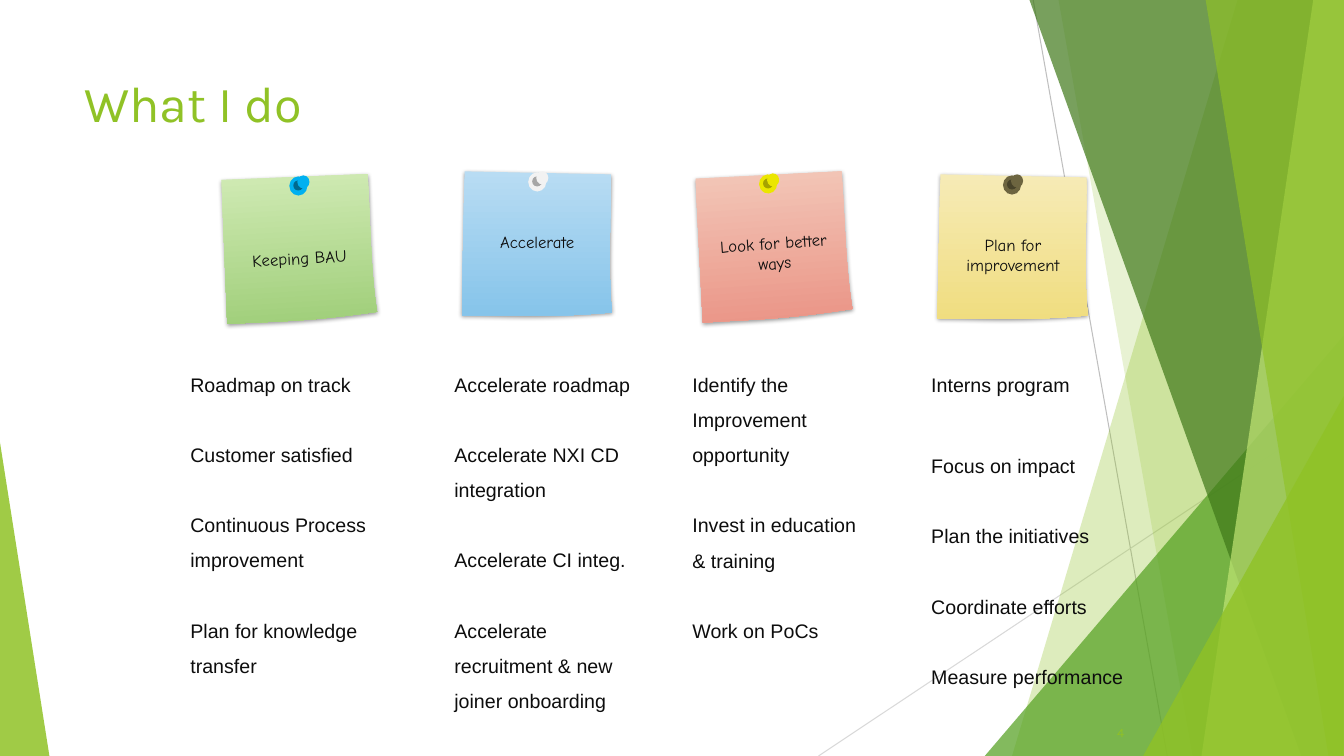
from lxml import etree
from pptx import Presentation
from pptx.dml.color import RGBColor
from pptx.enum.shapes import MSO_CONNECTOR, MSO_SHAPE
from pptx.enum.text import PP_ALIGN
from pptx.oxml.ns import qn
from pptx.util import Emu, Pt

STRAIGHT = MSO_CONNECTOR.STRAIGHT
TRIANGLE, ELLIPSE = MSO_SHAPE.ISOSCELES_TRIANGLE, MSO_SHAPE.OVAL
LEFT, CENTER, RIGHT = PP_ALIGN.LEFT, PP_ALIGN.CENTER, PP_ALIGN.RIGHT

SLIDE_WIDTH, SLIDE_HEIGHT = Emu(12192000), Emu(6858000)
COLUMNS, ROWS = 1333.33, 750
COLORS = {
    "lime": "90C226", "leaf": "54A021", "forest": "3F7819", "pale": "C0E474",
    "ray": "BFBFBF", "faint_ray": "D9D9D9", "ink": "0D0D0D", "shadow": "000000",
    "green_top": "D1EBB5", "green_base": "9FCE79",
    "blue_top": "B8DCF3", "blue_base": "86C4EA",
    "red_top": "F3C8B9", "red_base": "EA9486",
    "yellow_top": "F6EBB6", "yellow_base": "F0DD80",
    "azure_pin": "00B0F0", "azure_hole": "00698E",
    "white_pin": "F2F2F2", "white_hole": "A6A6A6",
    "lemon_pin": "EBE600", "lemon_hole": "A6A200",
    "olive_pin": "6D6540", "olive_hole": "48432A",
}
TITLE_FONT, NOTE_FONT, BODY_FONT = "Karla", "Comic Neue", "Arial"
LINE_GAP = 25


def curve(start, control_a, control_b, end, steps=12):
    points = []
    for step in range(1, steps + 1):
        t = step / steps
        weights = ((1 - t) ** 3, 3 * t * (1 - t) ** 2, 3 * t * t * (1 - t), t ** 3)
        anchors = (start, control_a, control_b, end)
        points.append(tuple(sum(w * a[axis] for w, a in zip(weights, anchors))
                            for axis in (0, 1)))
    return points


NOTE_OUTLINE = [(3, 0), (148, 3),
                *curve((148, 3), (148, 49), (145, 98), (149, 140)),
                *curve((149, 140), (75, 146), (49, 143), (0, 143))]


class Board:
    def __init__(self, slide):
        self.shapes = slide.shapes

    def x(self, columns):
        return Emu(round(SLIDE_WIDTH * columns / COLUMNS))

    def y(self, rows):
        return Emu(round(SLIDE_HEIGHT * rows / ROWS))

    def box(self, left, top, width, height):
        return self.x(left), self.y(top), self.x(width), self.y(height)

    def color(self, name):
        return RGBColor.from_string(COLORS[name])

    def group(self):
        return self.shapes.add_group_shape().shapes

    def paint(self, shape, color, opacity=100):
        shape.shadow.inherit = False
        shape.line.fill.background()
        shape.fill.solid()
        shape.fill.fore_color.rgb = self.color(color)
        if opacity < 100:
            tint = shape.element.spPr.find(f"{qn('a:solidFill')}/{qn('a:srgbClr')}")
            etree.SubElement(tint, qn("a:alpha"), val=str(opacity * 1000))

    def ray(self, layer, start, end, color):
        ray = layer.add_connector(STRAIGHT, self.x(start[0]), self.y(start[1]),
                                  self.x(end[0]), self.y(end[1]))
        ray.line.color.rgb = self.color(color)
        ray.line.width = Pt(0.75)
        etree.SubElement(ray.element.spPr, qn("a:effectLst"))

    def outline(self, layer, points):
        places = [(self.x(column), self.y(row)) for column, row in points]
        builder = layer.build_freeform(*places[0], scale=1.0)
        builder.add_line_segments(places[1:], close=True)
        return builder.convert_to_shape()

    def facet(self, layer, top_left, top_right, bottom_left, color, opacity):
        points = [(top_left, -1), (top_right, -1), (COLUMNS, ROWS), (bottom_left, ROWS)]
        self.paint(self.outline(layer, points), color, opacity)

    def wedge(self, layer, left, top, width, apex, color, opacity):
        wedge = layer.add_shape(TRIANGLE, *self.box(left, top, width, ROWS - top))
        wedge.adjustments[0] = apex
        self.paint(wedge, color, opacity)

    def text(self, box, lines, font, size, color, align=LEFT, spacing=None,
             gaps=(), rotation=0):
        area = self.shapes.add_textbox(*self.box(*box))
        area.rotation = rotation
        frame = area.text_frame
        frame.word_wrap = True
        for index, line in enumerate(lines):
            paragraph = frame.add_paragraph() if index else frame.paragraphs[0]
            paragraph.alignment = align
            if spacing:
                paragraph.line_spacing = spacing
            if index < len(gaps):
                paragraph.space_after = Pt(gaps[index])
            run = paragraph.add_run()
            run.text = line
            run.font.name = font
            run.font.size = Pt(size)
            run.font.color.rgb = self.color(color)

    def note(self, left, top, paper, rotation):
        note = self.outline(self.shapes, [(left + dx, top + dy) for dx, dy in NOTE_OUTLINE])
        note.rotation = rotation
        note.shadow.inherit = False
        note.line.fill.background()
        note.fill.gradient()
        note.fill.gradient_angle = 270
        for stop, edge in zip(note.fill.gradient_stops, ("top", "base")):
            stop.color.rgb = self.color(f"{paper}_{edge}")
        effects = note.element.spPr.find(qn("a:effectLst"))
        shadow = etree.SubElement(effects, qn("a:outerShdw"), blurRad=str(Pt(3)),
                                  dist=str(Pt(1)), dir="5400000", rotWithShape="0")
        tint = etree.SubElement(shadow, qn("a:srgbClr"), val=COLORS["shadow"])
        etree.SubElement(tint, qn("a:alpha"), val="40000")

    def pin(self, left, top, tone, rotation):
        layer = self.group()
        for dx, dy, width, height, part in ((0, 1, 18, 19, "pin"), (4, 5, 10, 10, "hole"),
                                            (8, 0, 12, 13, "pin")):
            disc = layer.add_shape(ELLIPSE, *self.box(left + dx, top + dy, width, height))
            disc.rotation = rotation
            self.paint(disc, f"{tone}_{part}")


def draw_backdrop(board):
    layer = board.group()
    board.ray(layer, (1025, 0), (1158, ROWS), "ray")
    board.ray(layer, (COLUMNS, 403), (812, ROWS), "faint_ray")
    board.facet(layer, 1228, COLUMNS, 1004, "lime", 30)
    board.facet(layer, 1050, COLUMNS, 1183, "lime", 20)
    board.wedge(layer, 977, 333, 356, 1, "leaf", 72)
    board.facet(layer, 1021, COLUMNS, 1291, "forest", 70)
    board.facet(layer, 1303, COLUMNS, 1192, "pale", 70)
    board.facet(layer, 1196, COLUMNS, 1318, "lime", 65)
    board.wedge(layer, 1134, 393, 199, 1, "lime", 80)
    board.wedge(layer, 0, 439, 49, 0, "lime", 85)


ACTIVITIES = [
    dict(label="Keeping BAU", note=(221, 174), paper="green", tilt=356.5,
         label_box=(230, 241, 134, 30), pin=66, tone="azure", pin_tilt=0,
         list_box=(179, 353, 240, 324), first_gap=LINE_GAP,
         tasks=["Roadmap on track", "Customer satisfied",
                "Continuous Process improvement", "Plan for knowledge transfer"]),
    dict(label="Accelerate", note=(458, 170), paper="blue", tilt=0,
         label_box=(466, 225, 134, 30), pin=66, tone="white", pin_tilt=0,
         list_box=(441, 353, 196, 439), first_gap=LINE_GAP,
         tasks=["Accelerate roadmap", "Accelerate NXI CD integration",
                "Accelerate CI integ.", "Accelerate recruitment & new joiner onboarding"]),
    dict(label="Look for better ways", note=(692, 172), paper="red", tilt=355.9,
         label_box=(701, 226, 134, 50), pin=61, tone="lemon", pin_tilt=355.9,
         list_box=(677, 353, 198, 368), first_gap=LINE_GAP,
         tasks=["Identify the Improvement opportunity", "Invest in education & training",
                "Work on PoCs"]),
    dict(label="Plan for improvement", note=(930, 173), paper="yellow", tilt=0,
         label_box=(938, 228, 134, 50), pin=65, tone="olive", pin_tilt=0,
         list_box=(914, 353, 240, 334), first_gap=33,
         tasks=["Interns program", "Focus on impact", "Plan the initiatives",
                "Coordinate efforts", "Measure performance"]),
]


def main():
    deck = Presentation()
    deck.slide_width, deck.slide_height = SLIDE_WIDTH, SLIDE_HEIGHT
    board = Board(deck.slides.add_slide(deck.slide_layouts[6]))
    draw_backdrop(board)
    board.text((74, 67, 940, 144), ["What I do"], TITLE_FONT, 36, "lime")
    for activity in ACTIVITIES:
        left, top = activity["note"]
        board.note(left, top, activity["paper"], activity["tilt"])
        board.text(activity["label_box"], [activity["label"]], NOTE_FONT, 12, "ink",
                   align=CENTER, rotation=activity["tilt"])
        board.pin(left + activity["pin"], top, activity["tone"], activity["pin_tilt"])
    for activity in ACTIVITIES:
        tasks = activity["tasks"]
        gaps = [activity["first_gap"]] + [LINE_GAP] * (len(tasks) - 2)
        board.text(activity["list_box"], tasks, BODY_FONT, 14, "ink", spacing=1.5, gaps=gaps)
    board.text((1055, 714, 70, 25), ["4"], TITLE_FONT, 9, "lime", align=RIGHT)
    deck.save("out.pptx")


if __name__ == "__main__":
    main()
